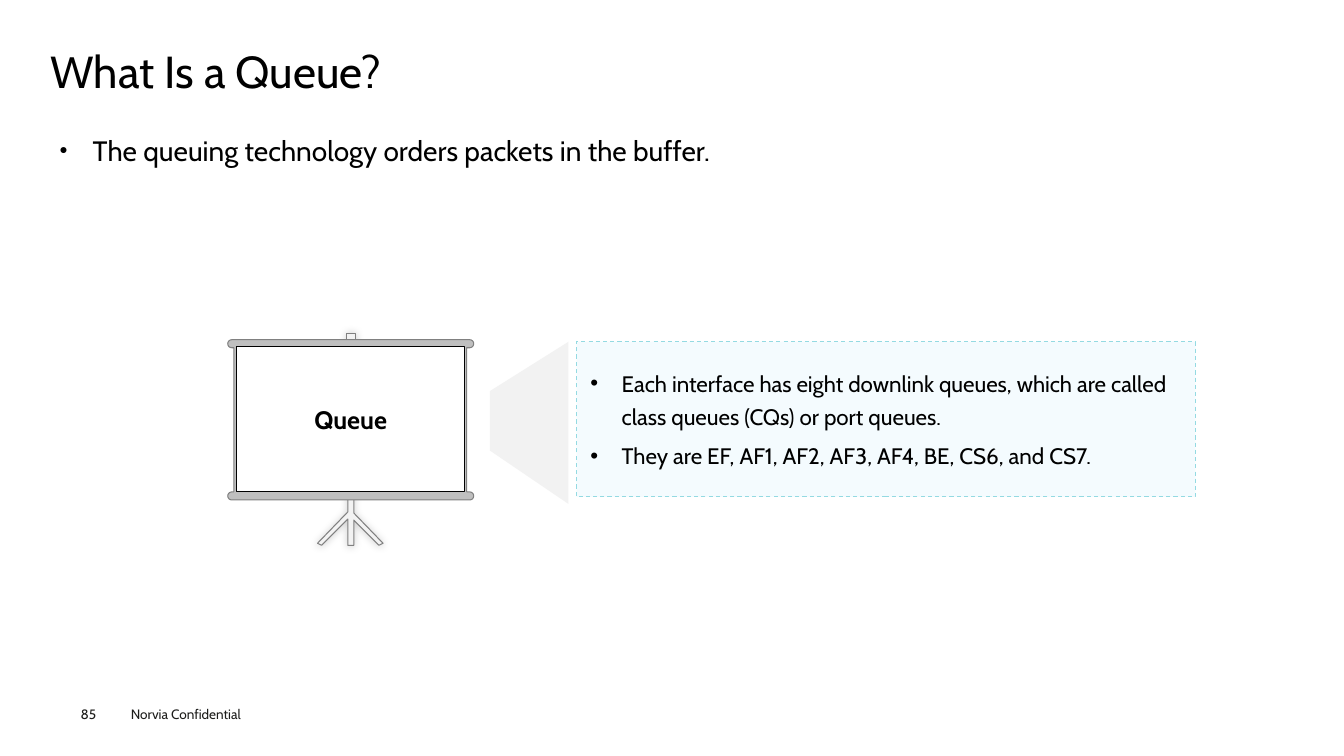
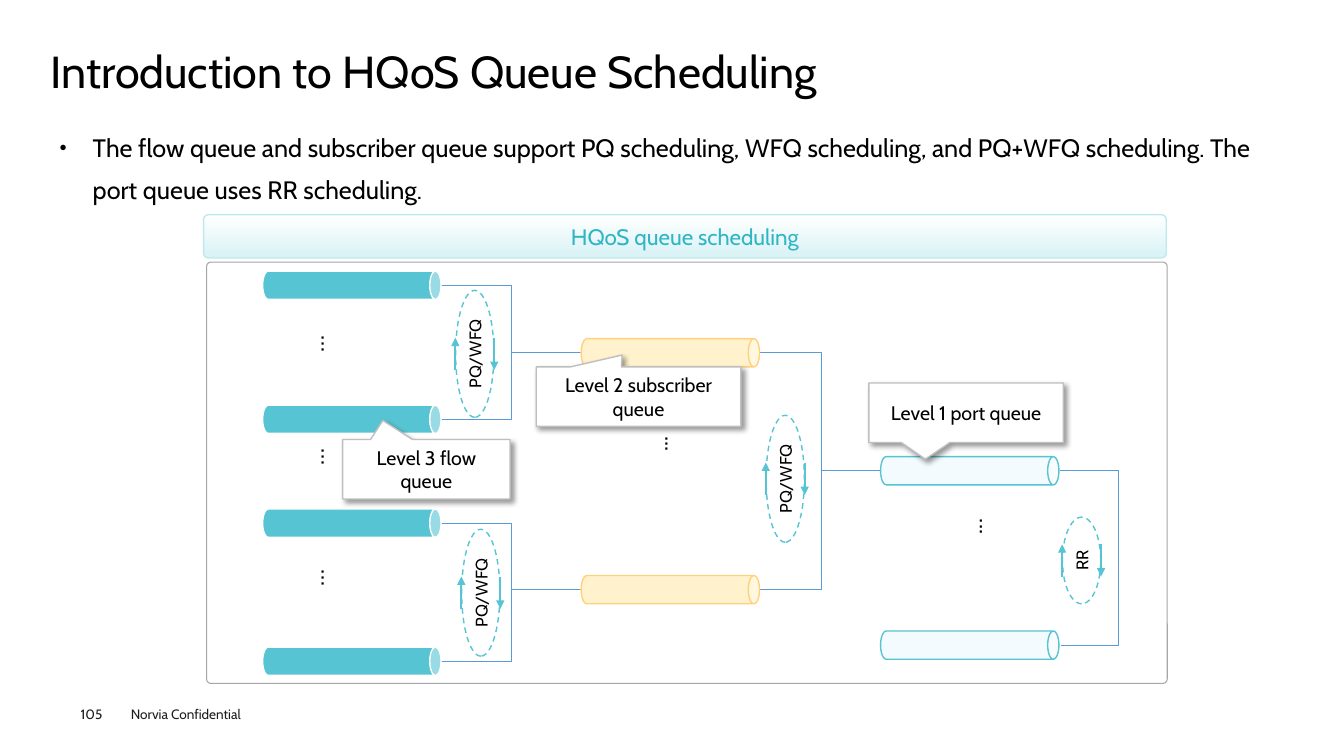
import math

from lxml import etree
from pptx import Presentation
from pptx import util as u
from pptx.dml import color
from pptx.enum import dml, shapes, text
from pptx.oxml import ns

CELL = 91440
SLIDE_COLS, SLIDE_ROWS = 133.33, 75
FONT = "Cabin"
COLORS = {
    "ink": "000000",
    "footer": "1D1D1B",
    "white": "FFFFFF",
    "teal": "56C4D2",
    "teal_text": "30B5C5",
    "teal_pale": "BEE9EE",
    "teal_fade": "D8F2F5",
    "teal_dash": "94DAE2",
    "ice": "F4FBFE",
    "cream": "FFF2CC",
    "amber": "FFD17D",
    "wire": "5B9BD5",
    "light": "F2F2F2",
    "silver": "BFBFBF",
    "frame": "A6A6A6",
    "gray": "808080",
}
SHAPE = shapes.MSO_SHAPE
CENTER = text.PP_ALIGN.CENTER
MIDDLE = text.MSO_ANCHOR.MIDDLE
ROUND_BULLET = {"char": "●", "share": 50, "indent": 3.3}
PLAIN_BULLET = {"char": "•", "share": 100, "indent": 3.1}


def grid(cells):
    return u.Emu(round(cells * CELL))


def rgb(name):
    return color.RGBColor.from_string(COLORS[name])


def paint(item, fill=None, line=None, width=0.75, dash=False):
    if fill:
        item.fill.solid()
        item.fill.fore_color.rgb = rgb(fill)
    else:
        item.fill.background()
    if line:
        stroke(item, line, width, dash)
    else:
        item.line.fill.background()
    item.shadow.inherit = False


def stroke(item, line, width, dash=False):
    item.line.color.rgb = rgb(line)
    item.line.width = u.Pt(width)
    if dash:
        item.line.dash_style = dml.MSO_LINE.DASH


def cast_shadow(item, alpha, blur, distance, angle):
    effects = item._element.spPr.find(ns.qn("a:effectLst"))
    outer = etree.SubElement(effects, ns.qn("a:outerShdw"), blurRad=str(u.Pt(blur)),
                             dist=str(u.Pt(distance)), dir=str(angle * 60000),
                             algn="ctr", rotWithShape="0")
    tone = etree.SubElement(outer, ns.qn("a:srgbClr"), val=COLORS["ink"])
    etree.SubElement(tone, ns.qn("a:alpha"), val=str(alpha * 1000))


def add_bullet(paragraph, char, share, indent):
    props = paragraph._p.get_or_add_pPr()
    props.set("marL", str(grid(indent)))
    props.set("indent", str(-grid(indent)))
    etree.SubElement(props, ns.qn("a:buSzPct"), val=str(share * 1000))
    etree.SubElement(props, ns.qn("a:buFont"), typeface="Arial")
    etree.SubElement(props, ns.qn("a:buChar"), char=char)


def write(item, lines, size, tone="ink", bold=False, align=None, anchor=None,
          insets=(1, 0.5), spacing=None, gap=0, bullet=None):
    frame = item.text_frame
    frame.word_wrap = True
    frame.vertical_anchor = anchor or text.MSO_ANCHOR.TOP
    frame.margin_left = frame.margin_right = grid(insets[0])
    frame.margin_top = frame.margin_bottom = grid(insets[1])
    for index, line in enumerate(lines):
        paragraph = frame.add_paragraph() if index else frame.paragraphs[0]
        if bullet:
            add_bullet(paragraph, **bullet)
        paragraph.alignment = align or text.PP_ALIGN.LEFT
        if spacing:
            paragraph.line_spacing = spacing
        if index:
            paragraph.space_before = u.Pt(gap)
        run = paragraph.add_run()
        run.text = line
        run.font.name = FONT
        run.font.size = u.Pt(size)
        run.font.bold = bold
        run.font.color.rgb = rgb(tone)


def add_text(slide, box, lines, size, **style):
    area = slide.shapes.add_textbox(*map(grid, box))
    write(area, lines, size, **style)
    return area


def add_block(slide, kind, box, **look):
    block = slide.shapes.add_shape(kind, *map(grid, box))
    paint(block, **look)
    return block


def add_outline(slide, contours, **look):
    builder = None
    for contour in contours:
        points = [(grid(x), grid(y)) for x, y in contour]
        if builder is None:
            builder = slide.shapes.build_freeform(*points[0], scale=1.0)
        else:
            builder.move_to(*points[0])
        builder.add_line_segments(points[1:], close=True)
    outline = builder.convert_to_shape()
    paint(outline, **look)
    return outline


def add_wire(slide, kind, start, end, tone, width):
    wire = slide.shapes.add_connector(kind, *map(grid, start + end))
    stroke(wire, tone, width)
    etree.SubElement(wire._element.spPr, ns.qn("a:effectLst"))
    return wire


def add_elbow(slide, start, end, reach=None):
    elbow = add_wire(slide, shapes.MSO_CONNECTOR.ELBOW, start, end, "wire", 0.5)
    if reach:
        share = reach / (end[0] - start[0])
        guides = elbow._element.spPr.find(ns.qn("a:prstGeom")).find(ns.qn("a:avLst"))
        etree.SubElement(guides, ns.qn("a:gd"), name="adj1",
                         fmla=f"val {round(share * 100000)}")


def add_arrow(slide, start, end):
    arrow = add_wire(slide, shapes.MSO_CONNECTOR.STRAIGHT, start, end, "teal", 1.5)
    line = arrow._element.spPr.find(ns.qn("a:ln"))
    etree.SubElement(line, ns.qn("a:tailEnd"), type="triangle")


def add_pipe(slide, x, y, fill, line):
    bore, length = 2.8, 17.7
    pipe = add_block(slide, SHAPE.CAN, (x - bore / 2, y - length / 2, bore, length),
                     fill=fill, line=line, width=1)
    pipe.adjustments[0] = 0.4
    pipe.rotation = 90


def add_scheduler(slide, x, y, length, label):
    breadth, side, half = 3.8, 1.93, 1.6
    ring = add_block(slide, SHAPE.OVAL, (x - length / 2, y - breadth / 2, length, breadth),
                     line="teal", width=1, dash=True)
    ring.rotation = 270
    write(ring, [label], 12, align=CENTER, anchor=MIDDLE, insets=(0, 0))
    add_arrow(slide, (x - side, y + half), (x - side, y - half))
    add_arrow(slide, (x + side, y - half), (x + side, y + half))


def add_callout(slide, box, tip, label):
    callout = add_block(slide, SHAPE.RECTANGULAR_CALLOUT, box,
                        fill="white", line="silver", width=1)
    callout.adjustments[0], callout.adjustments[1] = tip
    cast_shadow(callout, 40, 4, 3, 45)
    write(callout, [label], 14, align=CENTER, anchor=MIDDLE)


def add_dots(slide, x, y, dots):
    area = add_text(slide, (x - 2.5, y - 2.5, 5, 5), [dots], 18, align=CENTER)
    area.text_frame._txBody.bodyPr.set("vert", "eaVert")


def roller_end(x, y, first_angle, radius=0.4, steps=8):
    angles = [math.radians(first_angle + 180 * step / steps) for step in range(steps + 1)]
    return [(x + radius * math.cos(a), y + radius * math.sin(a)) for a in angles]


def add_projector_screen(slide, label):
    head = [(34.4, 33.1), (35.3, 33.1), (35.3, 34.2), (34.4, 34.2)]
    tripod = [(34.5, 47.8), (35.1, 47.8), (35.1, 50.9), (38, 53.9), (37.6, 54.1),
              (35.1, 51.6), (35.1, 54.1), (34.5, 54.1), (34.5, 51.5), (31.9, 54.1),
              (31.5, 53.9), (34.5, 50.8)]
    stand = add_outline(slide, [head, tripod], fill="light", line="gray")
    cast_shadow(stand, 20, 6, 0, 225)
    left, right, top, bottom = 23, 46.6, 34.1, 49.2
    rails = (roller_end(left, top, 90) + roller_end(right, top, 270)
             + [(46.3, 34.5), (46.3, 48.8)]
             + roller_end(right, bottom, 270) + roller_end(left, bottom, 90)
             + [(23.2, 48.8), (23.2, 34.5)])
    add_outline(slide, [rails], fill="silver", line="gray")
    screen = add_block(slide, SHAPE.RECTANGLE, (23.5, 34.4, 22.6, 14.4),
                       fill="white", line="ink")
    write(screen, [label], 18, bold=True, align=CENTER, anchor=MIDDLE)


def start_slide(deck, number, title, statement, size):
    slide = deck.slides.add_slide(deck.slide_layouts[6])
    add_text(slide, (12, 69.5, 16, 2.7), ["Norvia Confidential"], 9.7, tone="footer")
    add_text(slide, (8, 70, 3.5, 1.6), [number], 9.7, tone="footer", insets=(0, 0))
    add_text(slide, (5, 4.9, 123.5, 5.4), [title], 32, insets=(0, 0), spacing=0.9)
    add_text(slide, (5, 11.5, 123.5, 10), [statement], size, insets=(0.9, 0.4),
             spacing=1.4, bullet=ROUND_BULLET)
    return slide


def build_queue_slide(deck):
    slide = start_slide(deck, "85", "What Is a Queue?",
                        "The queuing technology orders packets in the buffer.", 20)
    add_block(slide, SHAPE.RECTANGLE, (57.2, 33.9, 61.4, 15.4),
              fill="ice", line="teal_dash", dash=True)
    add_text(slide, (57.6, 35.5, 61, 11.6), [
        "Each interface has eight downlink queues, which are called class queues (CQs) "
        "or port queues.",
        "They are EF, AF1, AF2, AF3, AF4, BE, CS6, and CS7.",
    ], 16, anchor=MIDDLE, spacing=1.25, gap=4, bullet=PLAIN_BULLET)
    add_outline(slide, [[(56.4, 50), (48.6, 44.7), (48.6, 38.8), (56.4, 33.9)]], fill="light")
    add_projector_screen(slide, "Queue")


def add_scheduling_panel(slide, heading):
    panel = add_block(slide, SHAPE.ROUNDED_RECTANGLE, (20.5, 26, 95.3, 41.8), line="frame")
    panel.adjustments[0] = 0.01
    banner = add_block(slide, SHAPE.ROUNDED_RECTANGLE, (20.2, 21.3, 95.5, 4.3),
                       line="teal_pale", width=1)
    banner.adjustments[0] = 0.11
    banner.fill.gradient()
    banner.fill.gradient_angle = 270
    for stop, tone in zip(banner.fill.gradient_stops, ("white", "teal_fade")):
        stop.color.rgb = rgb(tone)
    write(banner, [heading], 16, tone="teal_text", align=CENTER, anchor=MIDDLE, insets=(0, 0))


def build_scheduling_slide(deck):
    slide = start_slide(
        deck, "105", "Introduction to HQoS Queue Scheduling",
        "The flow queue and subscriber queue support PQ scheduling, WFQ scheduling, "
        "and PQ+WFQ scheduling. The port queue uses RR scheduling.", 18)
    add_scheduling_panel(slide, "HQoS queue scheduling")

    flow_rows, subscriber_rows, port_rows = (28.3, 41.6, 51.9, 65.6), (35, 58.5), (46.7, 64)
    for index, row in enumerate(flow_rows):
        add_elbow(slide, (43.8, row), (57.7, subscriber_rows[index // 2]))
    for row in subscriber_rows:
        add_elbow(slide, (75.4, row), (87.5, port_rows[0]))
    add_elbow(slide, (105.2, port_rows[0]), (105.3, port_rows[1]), reach=5.8)

    for x, y, dots in ((32.4, 34.8, "…"), (32.4, 46, "…"), (32.4, 58, "…"),
                       (66.5, 44.8, "..."), (97.7, 53, "...")):
        add_dots(slide, x, y, dots)
    for x, y, length, label in ((47.1, 35.1, 12.6, "PQ/WFQ"), (47.7, 58.8, 12.6, "PQ/WFQ"),
                                (77.9, 47.5, 12.6, "PQ/WFQ"), (107.3, 55.6, 8.6, "RR")):
        add_scheduler(slide, x, y, length, label)
    for x, rows, fill, line in ((34.9, flow_rows, "teal", "white"),
                                (66.5, subscriber_rows, "cream", "amber"),
                                (96.2, port_rows, "ice", "teal")):
        for row in rows:
            add_pipe(slide, x, row, fill, line)
    add_callout(slide, (34, 43.6, 16.6, 5.9), (-0.26, -0.82), "Level 3 flow queue")
    add_callout(slide, (53.2, 36.4, 20.3, 5.9), (-0.08, -0.7), "Level 2 subscriber queue")
    add_callout(slide, (86.2, 38, 19.3, 5.9), (-0.21, 0.78), "Level 1 port queue")


def main():
    deck = Presentation()
    deck.slide_width, deck.slide_height = grid(SLIDE_COLS), grid(SLIDE_ROWS)
    build_queue_slide(deck)
    build_scheduling_slide(deck)
    deck.save("out.pptx")


if __name__ == "__main__":
    main()
